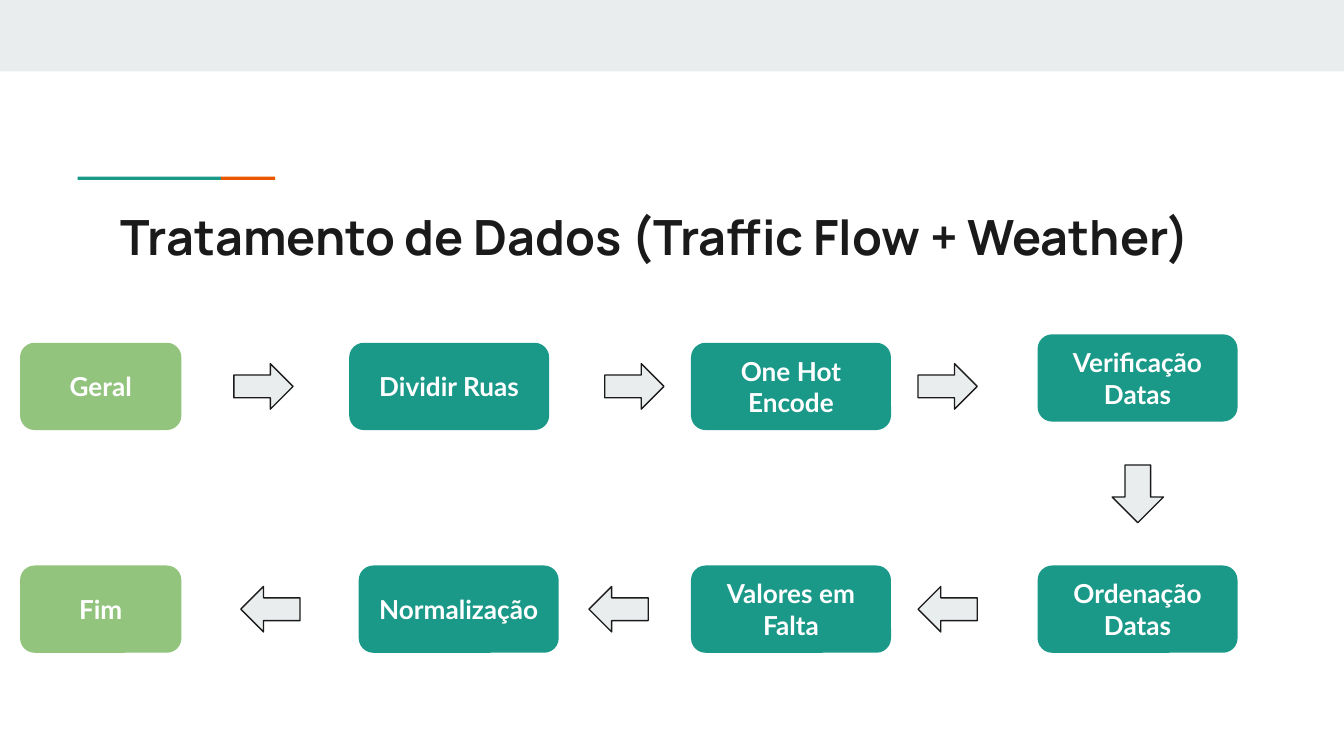
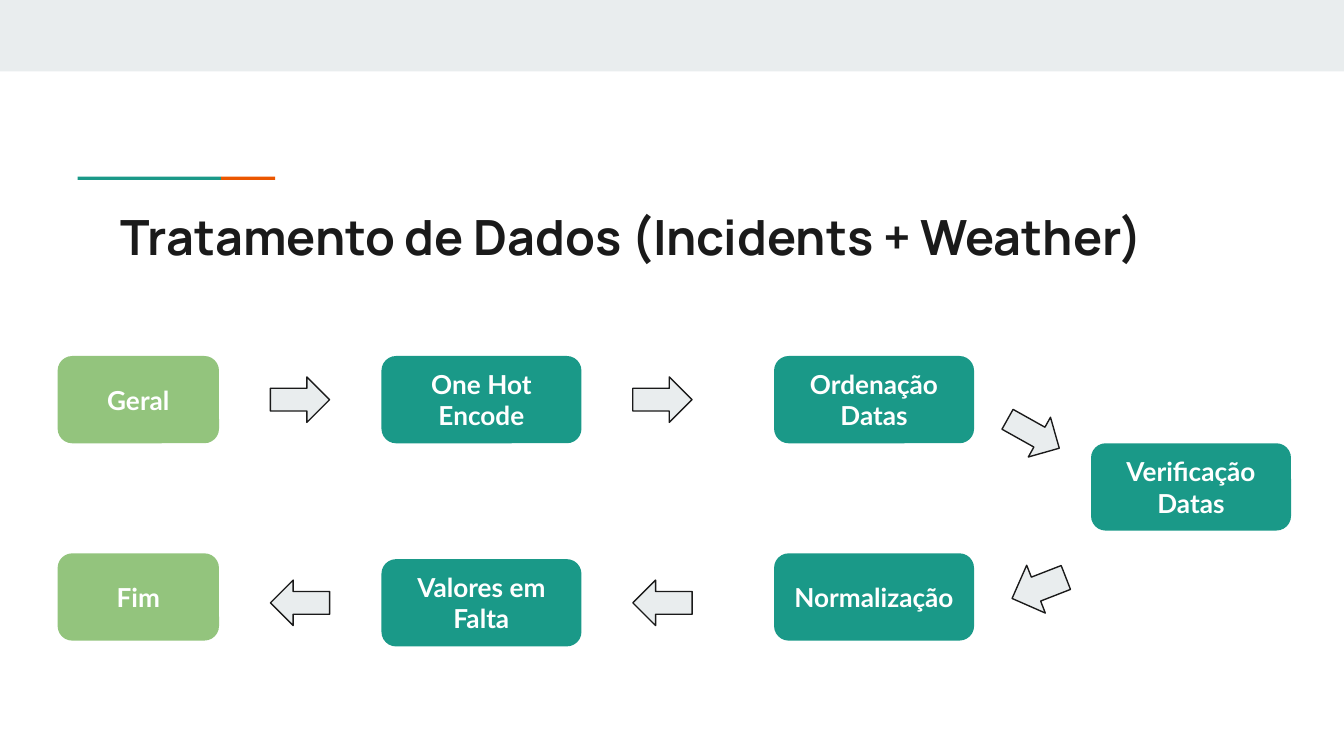
"""Build two slides that show data treatment as flows of steps and arrows."""
from dataclasses import dataclass

from pptx import Presentation
from pptx import util as u
from pptx.dml.color import RGBColor
from pptx.enum import shapes, text

DECK = [
    {
        "title": "Tratamento de Dados (Traffic Flow + Weather)",
        "rows": [
            {"top": 6.48, "turn": 0, "arrows": [4.42, 11.43, 17.35],
             "steps": [("Geral", 0.38, 0), ("Dividir Ruas", 6.6, 0),
                       ("One Hot Encode", 13.06, 0), ("Verificação Datas", 19.61, -0.16)]},
            {"top": 10.69, "turn": 180, "arrows": [4.55, 11.13, 17.35],
             "steps": [("Fim", 0.38, 0), ("Normalização", 6.78, 0),
                       ("Valores em Falta", 13.06, 0), ("Ordenação Datas", 19.61, 0)]},
        ],
        "links": [("down", 21.02, 8.79, 0)],
    },
    {
        "title": "Tratamento de Dados (Incidents + Weather)",
        "rows": [
            {"top": 6.73, "turn": 0, "arrows": [5.11, 11.96],
             "steps": [("Geral", 1.09, 0), ("One Hot Encode", 7.21, 0),
                       ("Ordenação Datas", 14.63, 0), ("Verificação Datas", 20.62, 1.65)]},
            {"top": 10.57, "turn": 180, "arrows": [5.11, 11.96],
             "steps": [("Fim", 1.09, -0.11), ("Valores em Falta", 7.21, 0),
                       ("Normalização", 14.63, -0.11)]},
        ],
        "links": [("right", 18.97, 7.77, 29.2), ("down", 19.15, 10.57, 68.7)],
    },
]


@dataclass(frozen=True)
class Theme:
    ink: str = "1A1A1A"
    white: str = "FFFFFF"
    pale: str = "E9EDEE"
    teal: str = "1A9988"
    green: str = "93C47D"
    orange: str = "EB5600"
    head: str = "Manrope"
    body: str = "Lato"
    large: int = 26
    small: int = 14


LOOK = Theme()
KIND = shapes.MSO_SHAPE
WIDE, HIGH = 25.4, 14.29
END, STEP, TALL = 3.05, 3.78, 1.65
ARROWS = {"right": (KIND.RIGHT_ARROW, 1.12, 0.86),
          "down": (KIND.DOWN_ARROW, 0.97, 1.09)}
BARS = [(0, 0, WIDE, 1.35, LOOK.pale),
        (1.47, 3.34, 2.71, 0.06, LOOK.teal),
        (4.18, 3.34, 1.02, 0.06, LOOK.orange)]


def write(shape, words, size, font, color, align, anchor):
    frame = shape.text_frame
    frame.text = words
    frame.word_wrap = True
    frame.auto_size = text.MSO_AUTO_SIZE.NONE
    frame.vertical_anchor = anchor
    frame.margin_left = frame.margin_right = u.Cm(0.25)
    frame.margin_top = frame.margin_bottom = u.Cm(0.25)
    para = frame.paragraphs[0]
    para.alignment = align
    face = para.runs[0].font
    face.size, face.name, face.bold = u.Pt(size), font, True
    face.color.rgb = RGBColor.from_string(color)


def draw(slide, kind, box, fill, line=None, turn=0):
    shape = slide.shapes.add_shape(kind, *map(u.Cm, box))
    shape.shadow.inherit = False
    shape.fill.solid()
    shape.fill.fore_color.rgb = RGBColor.from_string(fill)
    if line:
        shape.line.color.rgb = RGBColor.from_string(line)
        shape.line.width = u.Pt(0.75)
    else:
        shape.line.fill.background()
    shape.rotation = turn
    return shape


def point(slide, way, left, top, turn):
    kind, wide, tall = ARROWS[way]
    draw(slide, kind, (left, top, wide, tall), LOOK.pale, LOOK.ink, turn)


def frame(deck, title):
    slide = deck.slides.add_slide(deck.slide_layouts[5])
    for *box, fill in BARS:
        draw(slide, KIND.RECTANGLE, box, fill)
    head = slide.shapes.title
    head.left, head.top, head.width, head.height = map(u.Cm, (2.03, 3.66, 21.36, 1.5))
    write(head, title, size=LOOK.large, font=LOOK.head, color=LOOK.ink,
          align=text.PP_ALIGN.LEFT, anchor=text.MSO_ANCHOR.TOP)
    return slide


def flow(slide, row):
    for spot, (words, left, shift) in enumerate(row["steps"]):
        wide, fill = (STEP, LOOK.teal) if spot else (END, LOOK.green)
        box = (left, row["top"] + shift, wide, TALL)
        step = draw(slide, KIND.ROUNDED_RECTANGLE, box, fill)
        write(step, words, size=LOOK.small, font=LOOK.body, color=LOOK.white,
              align=text.PP_ALIGN.CENTER, anchor=text.MSO_ANCHOR.MIDDLE)
    top = row["top"] + (TALL - ARROWS["right"][2]) / 2
    for left in row["arrows"]:
        point(slide, "right", left, top, row["turn"])


def main():
    deck = Presentation()
    deck.slide_width, deck.slide_height = u.Cm(WIDE), u.Cm(HIGH)
    for page in DECK:
        slide = frame(deck, page["title"])
        for row in page["rows"]:
            flow(slide, row)
        for link in page["links"]:
            point(slide, *link)
    deck.save("out.pptx")


if __name__ == "__main__":
    main()
